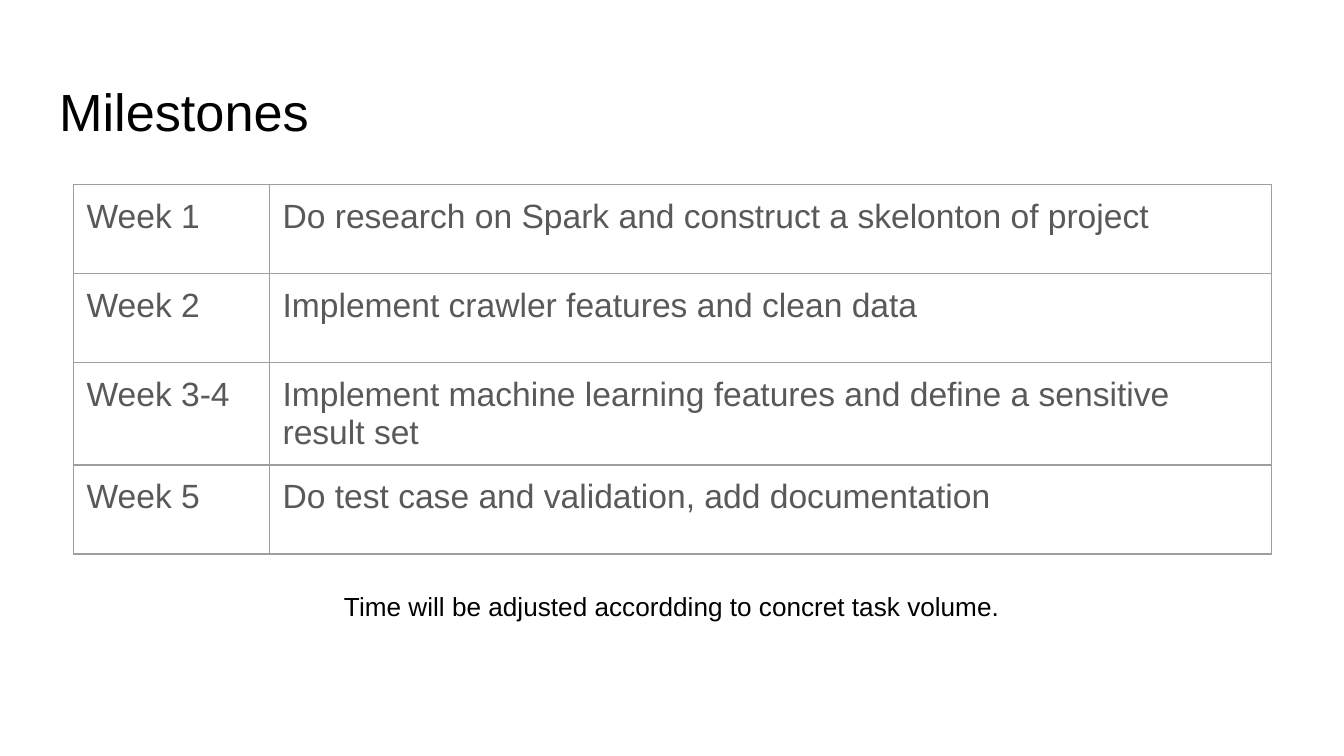
from pptx import Presentation
from pptx.dml.color import RGBColor
from pptx.enum.text import MSO_ANCHOR, MSO_AUTO_SIZE, PP_ALIGN
from pptx.oxml import parse_xml
from pptx.oxml.ns import nsdecls
from pptx.util import Pt

BLACK = RGBColor(0x00, 0x00, 0x00)
GRAY = RGBColor(0x59, 0x59, 0x59)
BORDER = RGBColor(0x9E, 0x9E, 0x9E)
FONT = "Arial"
INSET = Pt(7.2)

MILESTONES = [
    ("Week 1", "Do research on Spark and construct a skelonton of project"),
    ("Week 2", "Implement crawler features and clean data"),
    ("Week 3-4", "Implement machine learning features and define a sensitive result set"),
    ("Week 5", "Do test case and validation, add documentation"),
]
COL_WIDTHS = (Pt(105), Pt(537))
ROW_HEIGHT = Pt(47.7)


def set_insets(obj):
    obj.margin_left = obj.margin_right = INSET
    obj.margin_top = obj.margin_bottom = INSET


def write_text(tf, text, size, color, align=PP_ALIGN.LEFT):
    p = tf.paragraphs[0]
    p.alignment = align
    r = p.add_run()
    r.text = text
    r.font.name = FONT
    r.font.size = Pt(size)
    r.font.color.rgb = color


def format_frame(tf):
    set_insets(tf)
    tf.word_wrap = True
    tf.auto_size = MSO_AUTO_SIZE.NONE
    tf.vertical_anchor = MSO_ANCHOR.TOP


def add_title(s, text):
    sp = s.shapes.title
    sp.left, sp.top, sp.width, sp.height = Pt(24.5), Pt(35), Pt(671), Pt(45.1)
    format_frame(sp.text_frame)
    write_text(sp.text_frame, text, 28, BLACK)
    p = sp.text_frame.paragraphs[0]
    p.line_spacing = 1.0
    p.space_before = Pt(0)


def add_note(s, text):
    sp = s.shapes.add_textbox(Pt(151), Pt(309), Pt(418), Pt(33))
    format_frame(sp.text_frame)
    write_text(sp.text_frame, text, 14, BLACK, PP_ALIGN.CENTER)


def set_borders(cell):
    tc_pr = cell._tc.get_or_add_tcPr()
    for i, side in enumerate(("lnL", "lnR", "lnT", "lnB")):
        ln = parse_xml(
            f'<a:{side} {nsdecls("a")} w="{Pt(0.75)}"><a:solidFill>'
            f'<a:srgbClr val="{BORDER}"/></a:solidFill></a:{side}>'
        )
        tc_pr.insert(i, ln)


def add_milestone_table(s):
    table = s.shapes.add_table(
        len(MILESTONES), len(COL_WIDTHS), Pt(39.2), Pt(99),
        sum(COL_WIDTHS), ROW_HEIGHT * len(MILESTONES),
    ).table
    table.first_row = table.horz_banding = False
    for col, width in zip(table.columns, COL_WIDTHS):
        col.width = width
    for row, texts in zip(table.rows, MILESTONES):
        row.height = ROW_HEIGHT
        for cell, text in zip(row.cells, texts):
            cell.fill.background()
            set_insets(cell)
            set_borders(cell)
            write_text(cell.text_frame, text, 18, GRAY)


def main():
    prs = Presentation()
    prs.slide_width, prs.slide_height = Pt(720), Pt(405)
    s = prs.slides.add_slide(prs.slide_layouts[5])

    # Heading, schedule and closing note
    add_title(s, "Milestones")
    add_milestone_table(s)
    add_note(s, "Time will be adjusted accordding to concret task volume.")

    prs.save("out.pptx")


if __name__ == "__main__":
    main()
